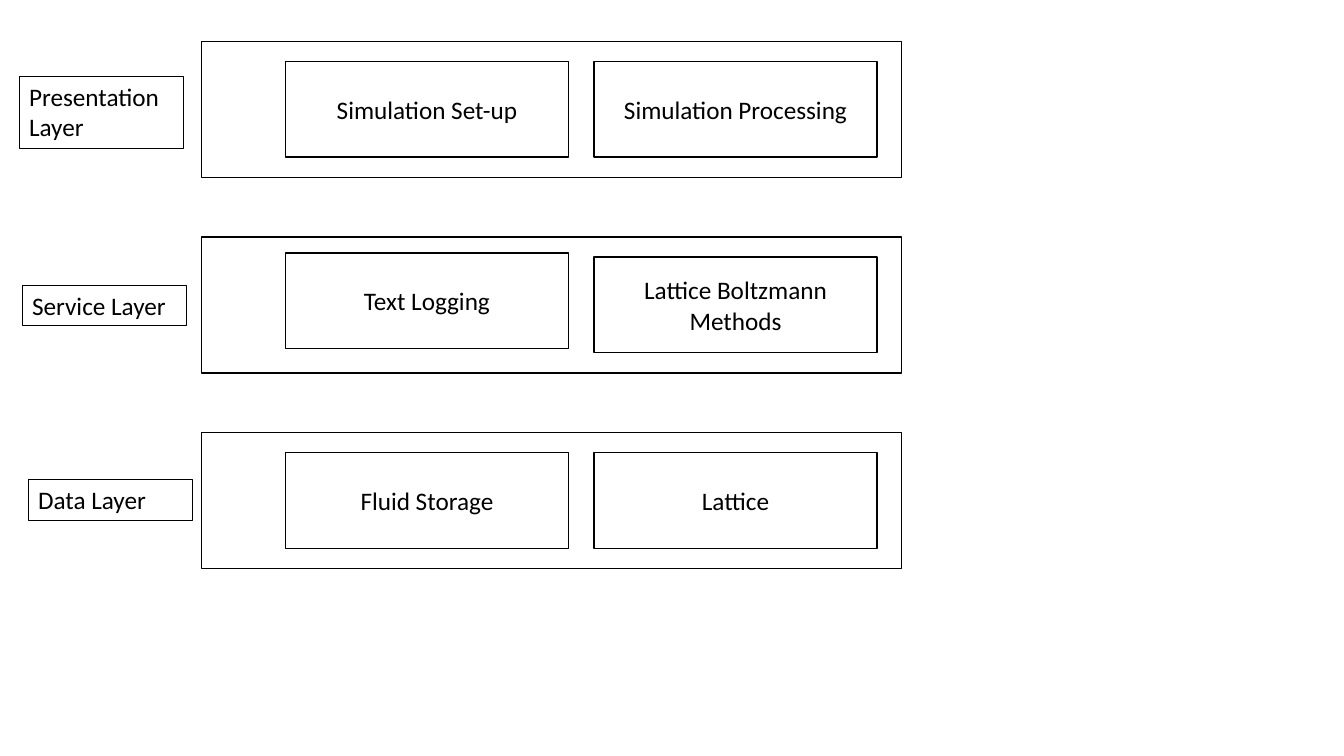
"""Builds a slide of a three-layer software architecture."""
from pptx import Presentation
from pptx.dml.color import RGBColor
from pptx.enum.shapes import MSO_SHAPE
from pptx.enum.text import MSO_ANCHOR, MSO_AUTO_SIZE, PP_ALIGN
from pptx.util import Inches, Pt

BLACK = RGBColor(0x00, 0x00, 0x00)
RECTANGLE = MSO_SHAPE.RECTANGLE
MIDDLE, TOP = MSO_ANCHOR.MIDDLE, MSO_ANCHOR.TOP
CENTER, LEFT = PP_ALIGN.CENTER, PP_ALIGN.LEFT
GROW = MSO_AUTO_SIZE.SHAPE_TO_FIT_TEXT

BAND_TOP, BAND_PITCH = 0.41, 1.94
MODULE_LEFT, MODULE_PITCH = 2.83, 3.06

LAYERS = [
    ("Presentation Layer", 0.19, 0.35, 0.71,
     [("Simulation Set-up", 0.2), ("Simulation Processing", 0.2)]),
    ("Service Layer", 0.22, 0.48, 0.4,
     [("Text Logging", 0.16), ("Lattice Boltzmann Methods", 0.2)]),
    ("Data Layer", 0.28, 0.47, 0.4,
     [("Fluid Storage", 0.2), ("Lattice", 0.2)]),
]

prs = Presentation()
prs.slide_width, prs.slide_height = Inches(13.33), Inches(7.5)
s = prs.slides.add_slide(prs.slide_layouts[6])


def add_box(x, y, w, h, weight=1, text="", align=CENTER, anchor=MIDDLE):
    sp = s.shapes.add_shape(RECTANGLE, Inches(x), Inches(y), Inches(w), Inches(h))
    sp.shadow.inherit = False
    sp.fill.background()
    sp.line.color.rgb = BLACK
    sp.line.width = Pt(weight)
    tf = sp.text_frame
    tf.word_wrap = True
    tf.vertical_anchor = anchor
    if text:
        tf.text = text
        p = tf.paragraphs[0]
        p.alignment = align
        font = p.runs[0].font
        font.name, font.size = "Calibri", Pt(18)
        font.color.rgb = BLACK
    return sp


for row, (name, label_left, label_drop, label_height, modules) in enumerate(LAYERS):
    top = BAND_TOP + row * BAND_PITCH
    add_box(2, top, 6.94, 1.35)
    label = add_box(label_left, top + label_drop, 1.63, label_height, 0.75, name, LEFT, TOP)
    label.text_frame.auto_size = GROW
    for col, (module, drop) in enumerate(modules):
        add_box(MODULE_LEFT + col * MODULE_PITCH, top + drop, 2.81, 0.95, text=module)

prs.save("out.pptx")
